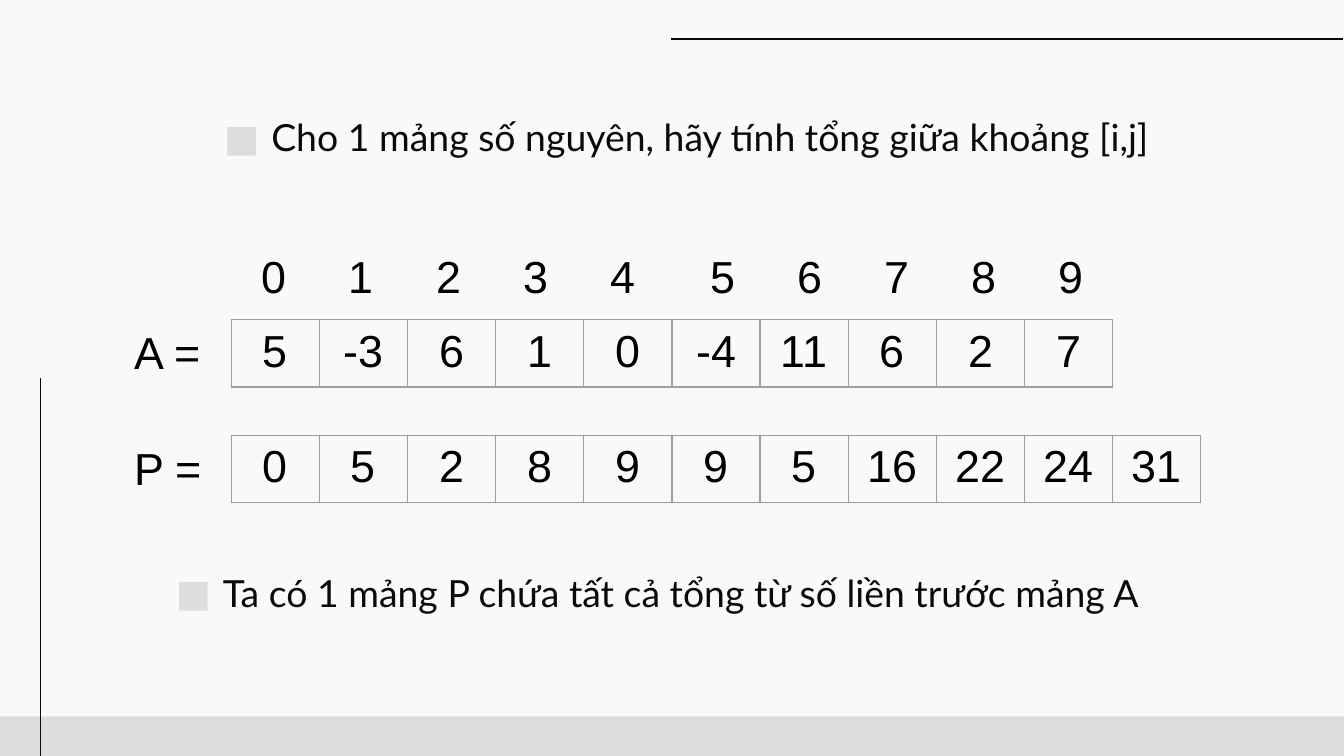
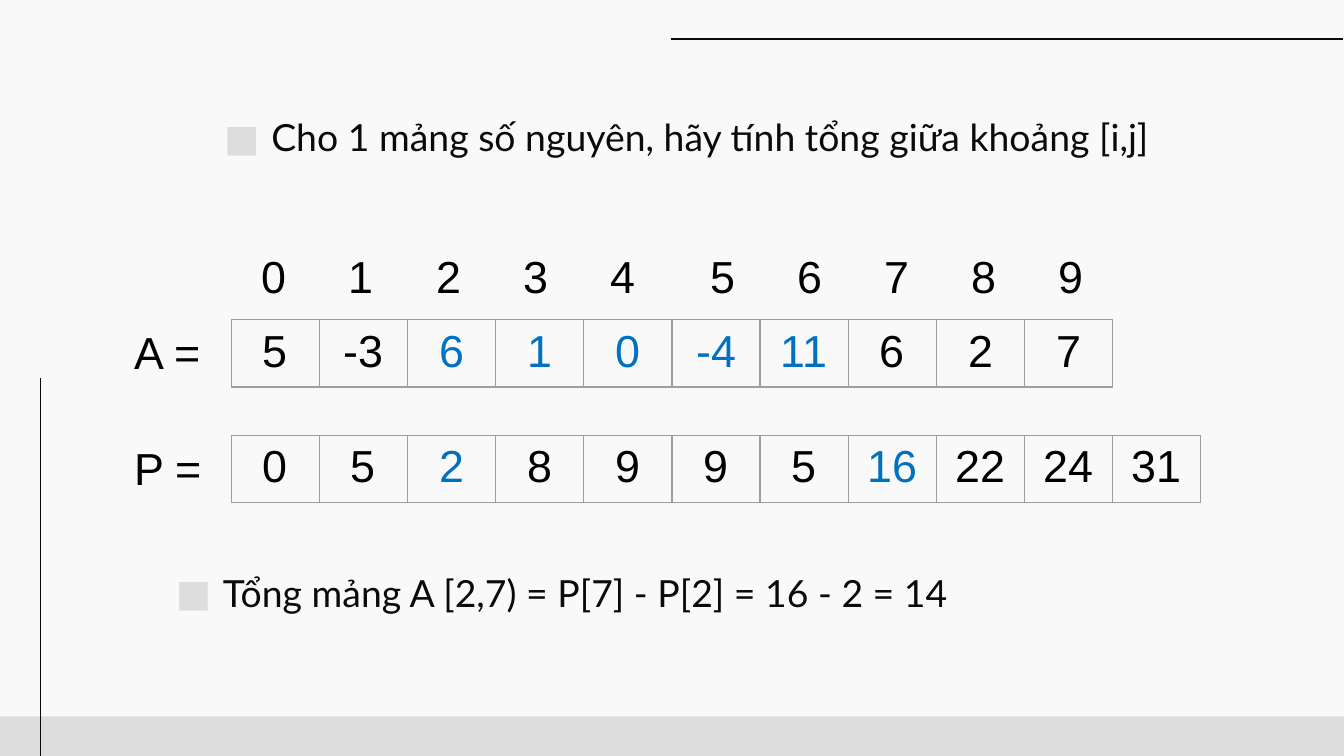
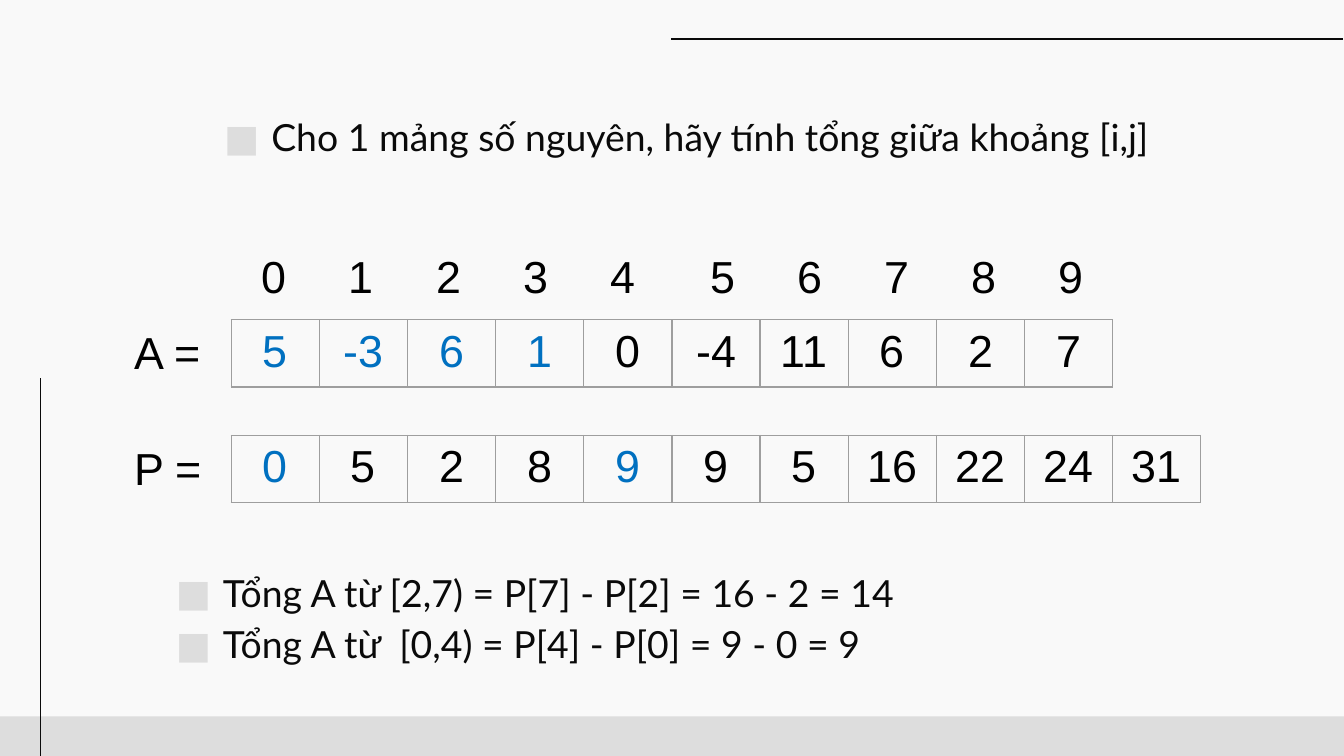
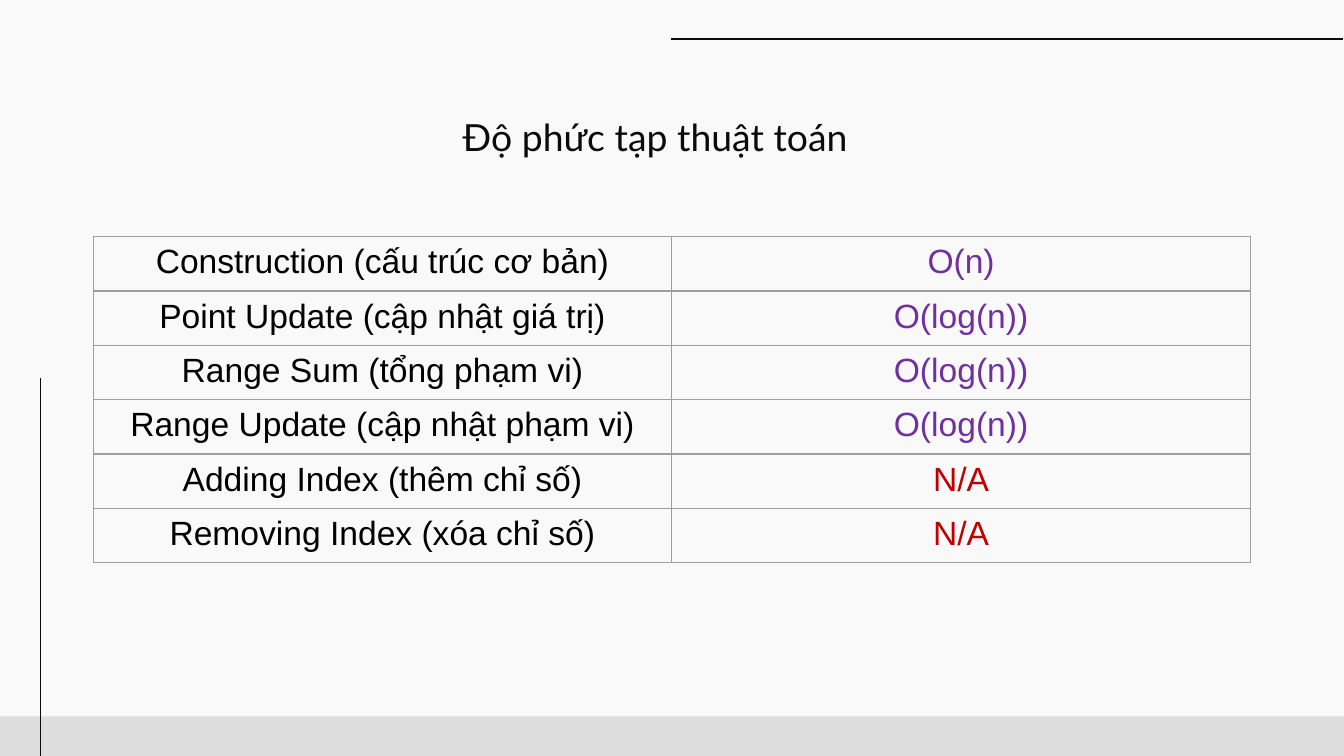
"""Four slides on prefix sums: the arrays, two range sums and the complexity table."""
from dataclasses import dataclass

from lxml import etree
from pptx import Presentation
from pptx.dml.color import RGBColor
from pptx.enum import shapes, text
from pptx.oxml import ns
from pptx.util import Length, Pt

BACKGROUND = RGBColor(0xF9, 0xF9, 0xF9)
GREY = RGBColor(0xDD, 0xDD, 0xDD)
INK = RGBColor(0x0A, 0x0A, 0x0A)
BLACK = RGBColor(0x00, 0x00, 0x00)
BORDER = RGBColor(0x9E, 0x9E, 0x9E)
BLUE = RGBColor(0x00, 0x70, 0xC0)
PURPLE = RGBColor(0x70, 0x30, 0xA0)
RED = RGBColor(0xC0, 0x00, 0x00)

SLIDE_WIDTH, SLIDE_HEIGHT = Pt(720), Pt(405)
HAIRLINE = Pt(0.75)
ARRAY_LEFT, CELL_WIDTH, CELL_HEIGHT = Pt(123.84), Pt(47.25), Pt(36)
BODY_WIDTH, BODY_HEIGHT = Pt(567.36), Pt(76.32)
BODY_TOP, NOTE_TOP = Pt(50.4), Pt(294.48)
INDEX_PITCH, INDEX_EXTRA = Pt(46.7), Pt(6.67)

QUESTION = "Cho 1 mảng số nguyên, hãy tính tổng giữa khoảng [i,j]"
COMPLEXITY = (
    ("Construction (cấu trúc cơ bản)", "O(n)"),
    ("Point Update (cập nhật giá trị)", "O(log(n))"),
    ("Range Sum (tổng phạm vi)", "O(log(n))"),
    ("Range Update (cập nhật phạm vi)", "O(log(n))"),
    ("Adding Index (thêm chỉ số)", "N/A"),
    ("Removing Index (xóa chỉ số)", "N/A"),
)


@dataclass(frozen=True)
class Cell:
    """Text of a table cell and its colour."""
    text: str
    color: RGBColor = BLACK


@dataclass(frozen=True)
class Array:
    """A named row of numbers."""
    label: str
    values: tuple[int, ...]
    top: Length


@dataclass(frozen=True)
class Example:
    """Notes below the arrays, with the highlighted positions of each array."""
    notes: tuple[str, ...]
    marked_a: tuple[int, ...] = ()
    marked_p: tuple[int, ...] = ()


ARRAY_A = Array("A =", (5, -3, 6, 1, 0, -4, 11, 6, 2, 7), Pt(171.36))
ARRAY_P = Array("P =", (0, 5, 2, 8, 9, 9, 5, 16, 22, 24, 31), Pt(233.28))
EXAMPLES = (
    Example(("Ta có 1 mảng P chứa tất cả tổng từ số liền trước mảng A",)),
    Example(("Tổng mảng A [2,7) = P[7] - P[2] = 16 - 2 = 14",),
            (2, 3, 4, 5, 6), (2, 7)),
    Example(("Tổng A từ [2,7) = P[7] - P[2] = 16 - 2 = 14",
             "Tổng A từ  [0,4) = P[4] - P[0] = 9 - 0 = 9"),
            (0, 1, 2, 3), (0, 4)),
)


def add_child(parent, tag: str, **attributes):
    """Append a DrawingML element and return it."""
    return etree.SubElement(parent, ns.qn(f"a:{tag}"), attributes)


def style_font(paragraph, name: str, size: int, color: RGBColor) -> None:
    """Set the font of a whole paragraph."""
    font = paragraph.font
    font.name, font.size = name, Pt(size)
    font.color.rgb = color


def add_line(slide, x1: Length, y1: Length, x2: Length, y2: Length) -> None:
    """Draw a thin dark line without a shadow."""
    line = slide.shapes.add_connector(shapes.MSO_CONNECTOR.STRAIGHT, x1, y1, x2, y2)
    line.line.color.rgb = INK
    line.line.width = HAIRLINE
    add_child(line._element.spPr, "effectLst")


def new_slide(presentation):
    """Add a slide with the shared background, footer band and lines."""
    slide = presentation.slides.add_slide(presentation.slide_layouts[6])
    slide.background.fill.solid()
    slide.background.fill.fore_color.rgb = BACKGROUND
    top = Pt(383.76)
    band = slide.shapes.add_shape(
        shapes.MSO_SHAPE.RECTANGLE, 0, top, SLIDE_WIDTH, SLIDE_HEIGHT - top)
    band.fill.solid()
    band.fill.fore_color.rgb = GREY
    band.line.fill.background()
    band.shadow.inherit = False
    add_line(slide, Pt(21.6), SLIDE_HEIGHT, Pt(21.6), Pt(202.5))
    add_line(slide, Pt(359.5), Pt(20.88), Pt(719.5), Pt(20.88))
    return slide


def add_body(slide, left: Length, top: Length, lines: tuple[str, ...],
             bulleted: bool = True) -> None:
    """Add body text, as square bullets or as a centred title."""
    box = slide.shapes.add_textbox(left, top, BODY_WIDTH, BODY_HEIGHT)
    frame = box.text_frame
    frame.word_wrap = True
    frame.margin_left = frame.margin_right = Pt(7.2)
    frame.margin_top = frame.margin_bottom = Pt(7.2)
    frame.text = "\n".join(lines)
    for paragraph in frame.paragraphs:
        paragraph.line_spacing = 1.15
        properties = paragraph._p.get_or_add_pPr()
        if bulleted:
            properties.set("marL", str(Pt(36)))
            properties.set("indent", str(-Pt(25.2)))
            add_child(add_child(properties, "buClr"), "srgbClr", val=str(GREY))
            add_child(properties, "buFont", typeface="Lato")
            add_child(properties, "buChar", char="■")
        else:
            properties.set("marL", str(Pt(10.8)))
            paragraph.alignment = text.PP_ALIGN.CENTER
        style_font(paragraph, "Lato", 20, INK)


def add_label(slide, left: Length, top: Length, width: Length, content: str,
              tab_stops: tuple[int, ...] = ()) -> None:
    """Add one line of large text, with optional tab stops."""
    box = slide.shapes.add_textbox(left, top, width, CELL_HEIGHT)
    frame = box.text_frame
    frame.word_wrap = True
    frame.auto_size = text.MSO_AUTO_SIZE.SHAPE_TO_FIT_TEXT
    frame.text = content
    paragraph = frame.paragraphs[0]
    if tab_stops:
        tabs = add_child(paragraph._p.get_or_add_pPr(), "tabLst")
        for stop in tab_stops:
            add_child(tabs, "tab", pos=str(stop), algn="l")
    style_font(paragraph, "Arial", 24, BLACK)


def add_grid(slide, left: Length, top: Length, column_width: Length,
             row_height: Length, rows: list[list[Cell]], size: int) -> None:
    """Add an unfilled table with thin grey borders and centred text."""
    count = len(rows[0])
    table = slide.shapes.add_table(
        len(rows), count, left, top, column_width * count, row_height * len(rows)).table
    table.first_row = table.horz_banding = False
    for column in table.columns:
        column.width = column_width
    for row, contents in zip(table.rows, rows):
        row.height = row_height
        for cell, content in zip(row.cells, contents):
            cell.text = content.text
            paragraph = cell.text_frame.paragraphs[0]
            paragraph.alignment = text.PP_ALIGN.CENTER
            style_font(paragraph, "Arial", size, content.color)
            cell.fill.background()
            properties = cell._tc.get_or_add_tcPr()
            for position, side in enumerate(("lnL", "lnR", "lnT", "lnB")):
                border = add_child(properties, side, w=str(HAIRLINE))
                add_child(add_child(border, "solidFill"), "srgbClr", val=str(BORDER))
                properties.insert(position, border)


def add_array(slide, array: Array, marked: tuple[int, ...]) -> None:
    """Add an array and its label, with marked values in blue."""
    cells = [Cell(str(value), BLUE if index in marked else BLACK)
             for index, value in enumerate(array.values)]
    add_grid(slide, ARRAY_LEFT, array.top, CELL_WIDTH, CELL_HEIGHT, [cells], 24)
    add_label(slide, Pt(64.8), array.top - Pt(0.72), Pt(59.04), array.label)


def add_example_slide(presentation, example: Example) -> None:
    """Build a slide with both arrays and the notes."""
    slide = new_slide(presentation)
    add_body(slide, Pt(102.24), BODY_TOP, (QUESTION,))
    add_array(slide, ARRAY_A, example.marked_a)
    indices = range(len(ARRAY_A.values))
    stops = tuple(INDEX_PITCH * index + (INDEX_EXTRA if index >= 5 else 0)
                  for index in indices[1:])
    add_label(slide, Pt(133.2), Pt(129.6), Pt(472.32),
              "\t".join(map(str, indices)), stops)
    add_array(slide, ARRAY_P, example.marked_p)
    add_body(slide, Pt(76.32), NOTE_TOP, example.notes)


def add_complexity_slide(presentation) -> None:
    """Build the slide with the complexity of each operation."""
    slide = new_slide(presentation)
    add_body(slide, Pt(61.92), BODY_TOP, ("Độ phức tạp thuật toán",), bulleted=False)
    rows = [[Cell(operation), Cell(cost, RED if cost == "N/A" else PURPLE)]
            for operation, cost in COMPLEXITY]
    add_grid(slide, Pt(49.9), Pt(126.72), Pt(310), Pt(29.16), rows, 18)


def main() -> None:
    """Build and save the presentation."""
    presentation = Presentation()
    presentation.slide_width, presentation.slide_height = SLIDE_WIDTH, SLIDE_HEIGHT
    for example in EXAMPLES:
        add_example_slide(presentation, example)
    add_complexity_slide(presentation)
    presentation.save("out.pptx")


if __name__ == "__main__":
    main()
